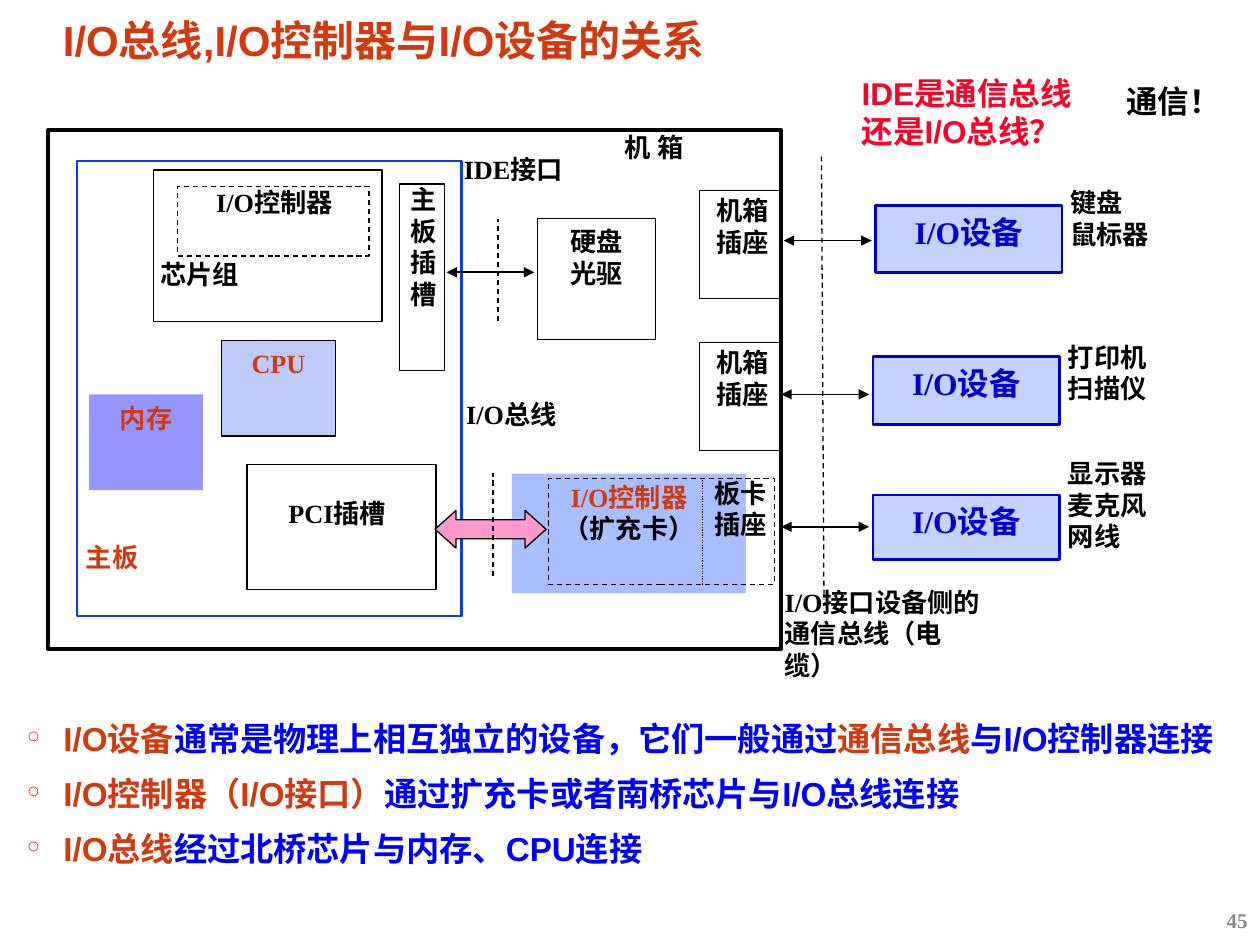
from lxml import etree
from pptx import Presentation
from pptx.dml.color import RGBColor
from pptx.enum.dml import MSO_LINE
from pptx.enum.shapes import MSO_CONNECTOR, MSO_SHAPE
from pptx.enum.text import MSO_ANCHOR, PP_ALIGN
from pptx.oxml.ns import qn
from pptx.util import Cm, Pt

LEFT, CENTER, RIGHT, JUSTIFY = PP_ALIGN.LEFT, PP_ALIGN.CENTER, PP_ALIGN.RIGHT, PP_ALIGN.JUSTIFY
DASH, DOT = MSO_LINE.DASH, MSO_LINE.ROUND_DOT
RECTANGLE, DOUBLE_ARROW = MSO_SHAPE.RECTANGLE, MSO_SHAPE.LEFT_RIGHT_ARROW
SANS, SERIF = "Arial", "Times New Roman"
COLORS = {
    "black": "000000", "white": "FFFFFF", "orange": "D1390F", "text_blue": "0000FF",
    "board": "063DE8", "device": "0000CC", "tint": "3366FF", "pink": "FF99CC",
    "red": "FC0128", "gray": "898989",
}


def rgb(name):
    return RGBColor.from_string(COLORS[name])


def write(shape, paragraphs, size=15, font=SERIF, align=LEFT, inset=(0.33, 0.15),
          anchor=MSO_ANCHOR.TOP, spacing=None):
    """Fill a shape with paragraphs, each a list of (text, colour) runs."""
    frame = shape.text_frame
    frame.word_wrap = True
    frame.vertical_anchor = anchor
    frame.margin_left = frame.margin_right = Cm(inset[0])
    frame.margin_top = frame.margin_bottom = Cm(inset[1])
    for index, runs in enumerate(paragraphs):
        paragraph = frame.paragraphs[0] if index == 0 else frame.add_paragraph()
        paragraph.alignment = align
        if spacing:
            paragraph.line_spacing = spacing
        for text, color in runs:
            run = paragraph.add_run()
            run.text = text
            run.font.size, run.font.name, run.font.bold = Pt(size), font, True
            run.font.color.rgb = rgb(color)
    return frame


def add_label(slide, box, paragraphs, **style):
    shape = slide.shapes.add_textbox(*map(Cm, box))
    return write(shape, paragraphs, **style)


def add_words(slide, box, lines, color="black", align=JUSTIFY, **style):
    """Add a label with one plain run on each line."""
    add_label(slide, box, [[(line, color)] for line in lines], align=align, **style)


def add_block(slide, box, fill=None, alpha=None, line=None, width=0.75, dash=None,
              kind=RECTANGLE):
    shape = slide.shapes.add_shape(kind, *map(Cm, box))
    shape.shadow.inherit = False
    if fill:
        shape.fill.solid()
        shape.fill.fore_color.rgb = rgb(fill)
        if alpha:
            color = shape.fill._xPr.find(qn("a:solidFill"))[0]
            etree.SubElement(color, qn("a:alpha"), val=str(alpha * 1000))
    else:
        shape.fill.background()
    if line:
        shape.line.color.rgb = rgb(line)
        shape.line.width = Pt(width)
        if dash:
            shape.line.dash_style = dash
    else:
        shape.line.fill.background()
    return shape


def add_line(slide, start, end, width=0.75, dash=None, arrows=False):
    connector = slide.shapes.add_connector(
        MSO_CONNECTOR.STRAIGHT, *map(Cm, (*start, *end)))
    connector.line.color.rgb = rgb("black")
    connector.line.width = Pt(width)
    if dash:
        connector.line.dash_style = dash
    if arrows:
        line = connector.line._get_or_add_ln()
        for tag in ("a:headEnd", "a:tailEnd"):
            etree.SubElement(line, qn(tag), type="triangle")
    etree.SubElement(connector._element.spPr, qn("a:effectLst"))


def add_title(slide, box):
    add_label(slide, box, [[("I/O总线,I/O控制器与I/O设备的关系", "orange")]],
              size=24, font=SANS, inset=(0.18, 0.08), spacing=0.8)


def add_motherboard(slide, left, top, width, height):
    def at(x, y, w, h):
        return left + x, top + y, w, h

    add_block(slide, (left, top, width, height), line="board", width=1.5)
    add_words(slide, at(-0.15, 7.52, 2.51, 1.83), ["主板"], "orange")

    # Chipset with its controller
    add_block(slide, at(1.55, 0.18, 4.6, 3.05), line="black")
    add_words(slide, at(1.35, 1.8, 3.2, 1.96), ["芯片组"])
    add_block(slide, at(2.03, 0.51, 3.86, 1.4), line="black", dash=DASH)
    add_words(slide, at(1.57, 0.36, 4.83, 1.65), ["I/O控制器"], align=CENTER)

    # Processor and memory
    cpu = add_block(slide, at(2.92, 3.61, 2.29, 1.93), "board", 27, "black")
    write(cpu, [[("CPU", "orange")]], align=CENTER)
    memory = add_block(slide, at(0.25, 4.7, 2.29, 1.93), "text_blue", 41)
    write(memory, [[("内存", "orange")]], align=CENTER)

    # Slots
    add_block(slide, at(6.5, 0.46, 0.91, 3.76), line="black")
    add_words(slide, at(6.2, 0.3, 1.6, 4.14), ["主板插槽"], align=CENTER)
    add_block(slide, at(3.43, 6.12, 3.81, 2.51), line="black")
    add_words(slide, at(2.9, 6.63, 4.7, 2.24), ["PCI插槽"], align=CENTER)


def add_expansion_card(slide, left, top, width, height):
    card = add_block(slide, (left, top, width, height), "tint", 42)
    write(card, [[("I/O控制器", "orange")], [("（扩充卡）", "black")]], align=CENTER)
    add_block(slide, (left + 0.74, top + 0.1, 4.55, 2.13), line="black", dash=DASH)
    add_words(slide, (left + 3.4, top - 0.08, 2.41, 2.41), ["板卡", "插座"], align=CENTER)
    add_line(slide, (left + 3.84, top + 0.08), (left + 3.84, top + 2.24), dash=DOT)


def add_case(slide, left, top, width, height):
    def at(x, y, *size):
        return left + x, top + y, *size

    add_block(slide, (left, top, width, height), line="black", width=2.25)
    add_words(slide, at(11.3, -0.38, 2.69, 1.93), ["机 箱"], spacing=1.4)
    add_motherboard(slide, *at(0.58, 0.63, 7.75, 9.17))
    add_expansion_card(slide, *at(9.35, 6.93, 4.72, 2.41))

    # Case sockets
    for y in (1.22, 4.29):
        add_words(slide, at(12.8, y - 0.07, 2.41, 2.41), ["机箱", "插座"], align=CENTER)
        add_block(slide, at(13.13, y, 1.65, 2.18), line="black")

    # Drives on the IDE interface
    drives = add_block(slide, at(9.86, 1.78, 2.39, 2.44), "white", line="black")
    write(drives, [[("硬盘", "black")], [("光驱", "black")]], align=CENTER)
    add_words(slide, at(8.05, 0.33, 3.53, 1.75), ["IDE接口"])
    add_line(slide, at(8.03, 2.87), at(9.8, 2.87), width=1, arrows=True)
    add_line(slide, at(9.07, 3.86), at(9.07, 1.8), dash=DASH)

    # I/O bus
    add_words(slide, at(8.1, 5.26, 3.4, 1.75), ["I/O总线"])
    bus = add_block(slide, at(7.8, 7.67, 2.24, 0.76), "pink", line="black", kind=DOUBLE_ARROW)
    bus.adjustments[0], bus.adjustments[1] = 0.5, 0.56
    add_line(slide, at(8.97, 8.99), at(8.97, 6.91), dash=DASH)


def add_device(slide, left, top, height, names, rise, arrow_y):
    device = add_block(slide, (left, top, 3.76, height), "tint", 29, "device", 1.5)
    write(device, [[("I/O设备", "device")]], size=18, align=CENTER)
    add_words(slide, (left + 3.6, top - rise, 3.35, 2.8), names)
    add_line(slide, (left - 1.85, top + arrow_y), (left - 0.08, top + arrow_y),
             width=1, arrows=True)


def add_cable(slide, left, top):
    add_line(slide, (left, top), (left + 0.05, top + 8.94), dash=DASH)
    add_words(slide, (left - 1.07, top + 8.51, 4.6, 2.64),
              ["I/O接口设备侧的通信总线（电缆）"], align=LEFT)


def add_question(slide, left, top):
    style = {"size": 18, "align": LEFT, "inset": (0.25, 0.13)}
    add_words(slide, (left, top, 4.8, 1.78), ["IDE是通信总线还是I/O总线？"],
              "red", font=SANS, **style)
    add_words(slide, (left + 5.33, top + 0.15, 2.87, 1.02), ["通信！"], **style)


def add_summary(slide, box):
    points = [
        [("I/O设备", "orange"), ("通常是物理上相互独立的设备，它们一般通过", "text_blue"),
         ("通信总线", "orange"), ("与I/O控制器连接", "text_blue")],
        [("I/O控制器（I/O接口）", "orange"),
         ("通过扩充卡或者南桥芯片与I/O总线连接", "text_blue")],
        [("I/O总线", "orange"), ("经过北桥芯片与内存、CPU连接", "text_blue")],
    ]
    frame = add_label(slide, box, points, size=19, font=SANS, inset=(0.18, 0.08), spacing=1.2)
    for index, paragraph in enumerate(frame.paragraphs):
        properties = paragraph._p.get_or_add_pPr()
        properties.set("marL", str(Cm(0.74)))
        properties.set("indent", str(Cm(-0.74)))
        etree.SubElement(properties, qn("a:buChar"), char="°")
        if index:
            paragraph.space_before = Pt(4)


def main():
    presentation = Presentation()
    presentation.slide_width, presentation.slide_height = Cm(25.4), Cm(19.05)
    slide = presentation.slides.add_slide(presentation.slide_layouts[6])

    add_title(slide, (1.09, 0.41, 22.58, 0.97))
    add_case(slide, 0.97, 2.62, 14.78, 10.46)
    add_device(slide, 17.65, 4.14, 1.35, ["键盘", "鼠标器"], 0.53, 0.71)
    add_device(slide, 17.6, 7.19, 1.37, ["打印机", "扫描仪"], 0.46, 0.76)
    add_device(slide, 17.6, 9.98, 1.3, ["显示器", "麦克风", "网线"], 0.91, 0.64)
    add_cable(slide, 16.56, 3.15)
    add_question(slide, 17.12, 1.37)
    add_summary(slide, (0.36, 14.25, 24.64, 3.4))
    add_words(slide, (19.69, 18.03, 5.71, 1.02), ["45"], "gray", size=12, align=RIGHT,
              inset=(0.25, 0.13), anchor=MSO_ANCHOR.MIDDLE)
    presentation.save("out.pptx")


if __name__ == "__main__":
    main()
